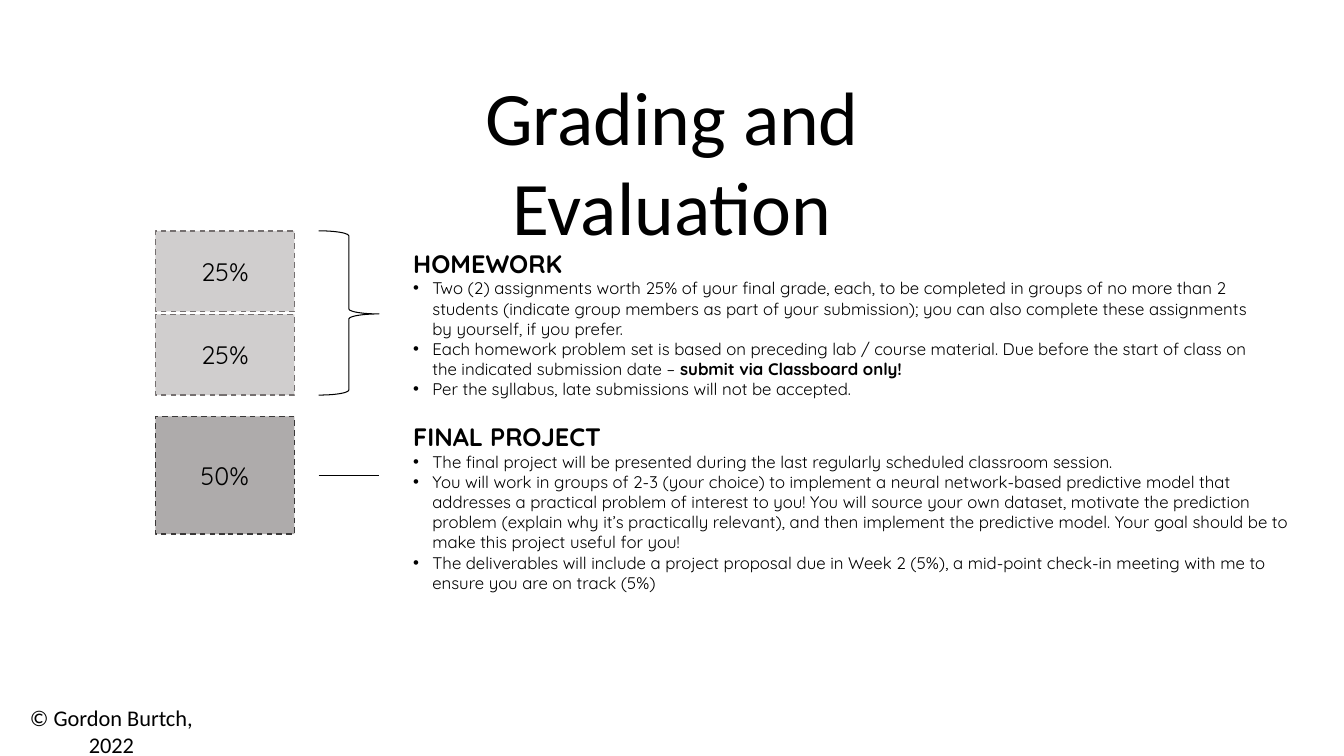
import pptx
import pptx.util
import pptx.dml.color
import pptx.enum.dml
import pptx.enum.shapes
import pptx.enum.text
from lxml import etree

Inches, Pt = pptx.util.Inches, pptx.util.Pt
RGBColor = pptx.dml.color.RGBColor
Align = pptx.enum.text.PP_ALIGN
Shape = pptx.enum.shapes.MSO_SHAPE

BLACK = RGBColor(0x00, 0x00, 0x00)
LIGHT_GRAY = RGBColor(0xD0, 0xCE, 0xCE)
MID_GRAY = RGBColor(0xAE, 0xAB, 0xAB)
EDGE_GRAY = RGBColor(0x75, 0x70, 0x70)
DARK_GRAY = RGBColor(0x3A, 0x38, 0x38)
DRAWING_NS = "http://schemas.openxmlformats.org/drawingml/2006/main"

# Content: headings as (text, left, top, width, height, size)
FOOTER = ("© Gordon Burtch, 2022", 0.18, 6.94, 1.85, 0.37, 16)
TITLE = ("Grading and Evaluation", 3.13, 0.64, 7.07, 1.01, 54)

# Weights: (label, top, height, fill, edge)
WEIGHTS = [
    ("25%", 2.29, 0.8, LIGHT_GRAY, EDGE_GRAY),
    ("25%", 3.12, 0.8, LIGHT_GRAY, EDGE_GRAY),
    ("50%", 4.13, 1.17, MID_GRAY, DARK_GRAY),
]

# Sections: (heading, top, width, height, bullets); a bullet is (plain, bold)
SECTIONS = [
    ("HOMEWORK", 2.41, 8.62, 1.41, [
        ("Two (2) assignments worth 25% of your final grade, each, to be "
         "completed in groups of no more than 2 students (indicate group "
         "members as part of your submission); you can also complete these "
         "assignments by yourself, if you prefer.", ""),
        ("Each homework problem set is based on preceding lab / course "
         "material. Due before the start of class on the indicated "
         "submission date – ", "submit via Classboard only!"),
        ("Per the syllabus, late submissions will not be accepted.", ""),
    ]),
    ("FINAL PROJECT", 4.13, 8.93, 1.62, [
        ("The final project will be presented during the last regularly "
         "scheduled classroom session.", ""),
        ("You will work in groups of 2-3 (your choice) to implement a neural "
         "network-based predictive model that addresses a practical problem "
         "of interest to you! You will source your own dataset, motivate the "
         "prediction problem (explain why it’s practically relevant), and "
         "then implement the predictive model. Your goal should be to make "
         "this project useful for you!", ""),
        ("The deliverables will include a project proposal due in Week 2 "
         "(5%), a mid-point check-in meeting with me to ensure you are on "
         "track (5%)", ""),
    ]),
]

WEIGHT_LEFT, WEIGHT_WIDTH = 1.54, 1.38
LINK_LEFT, LINK_WIDTH = 3.16, 0.6
SECTION_LEFT = 4
BULLET_INDENT = 0.19


def style(font, name, size, bold=False):
    font.name, font.size, font.bold = name, Pt(size), bold
    font.color.rgb = BLACK


def add_box(page, left, top, width, height):
    box = page.shapes.add_textbox(Inches(left), Inches(top),
                                  Inches(width), Inches(height))
    box.text_frame.word_wrap = True
    box.text_frame.auto_size = pptx.enum.text.MSO_AUTO_SIZE.SHAPE_TO_FIT_TEXT
    return box


def add_heading(page, text, left, top, width, height, size):
    para = add_box(page, left, top, width, height).text_frame.paragraphs[0]
    para.text = text
    para.alignment = Align.CENTER
    style(para.runs[0].font, "Calibri", size)


def add_weight(page, label, top, height, fill, edge):
    block = page.shapes.add_shape(
        Shape.RECTANGLE, Inches(WEIGHT_LEFT), Inches(top),
        Inches(WEIGHT_WIDTH), Inches(height))
    block.shadow.inherit = False
    block.fill.solid()
    block.fill.fore_color.rgb = fill
    block.line.color.rgb = edge
    block.line.width = Pt(1)
    block.line.dash_style = pptx.enum.dml.MSO_LINE.DASH
    block.text_frame.text = label
    block.text_frame.vertical_anchor = pptx.enum.text.MSO_ANCHOR.MIDDLE
    para = block.text_frame.paragraphs[0]
    para.alignment = Align.CENTER
    style(para.runs[0].font, "Quicksand", 18)


def add_bullet(frame, plain, bold):
    para = frame.add_paragraph()
    props = para._p.get_or_add_pPr()
    props.set("marL", str(Inches(BULLET_INDENT)))
    props.set("indent", str(-Inches(BULLET_INDENT)))
    font = etree.SubElement(props, f"{{{DRAWING_NS}}}buFont")
    font.set("typeface", "Arial")
    mark = etree.SubElement(props, f"{{{DRAWING_NS}}}buChar")
    mark.set("char", "•")
    for text, is_bold in ((plain, False), (bold, True)):
        if text:
            span = para.add_run()
            span.text = text
            style(span.font, "Quicksand", 12, is_bold)


def add_section(page, heading, top, width, height, bullets):
    frame = add_box(page, SECTION_LEFT, top, width, height).text_frame
    frame.text = heading
    style(frame.paragraphs[0].runs[0].font, "Quicksand", 18, True)
    for plain, bold in bullets:
        add_bullet(frame, plain, bold)


def add_links(page):
    # Brace spans both homework blocks
    first, second, project = WEIGHTS
    brace_height = second[1] + second[2] - first[1]
    brace = page.shapes.add_shape(
        Shape.RIGHT_BRACE, Inches(LINK_LEFT), Inches(first[1]),
        Inches(LINK_WIDTH), Inches(brace_height))
    brace.adjustments[0], brace.adjustments[1] = 0.083, 0.506
    brace.shadow.inherit = False
    brace.fill.background()

    # Line starts level with the middle of the project block
    middle = Inches(project[1] + project[2] / 2)
    line = page.shapes.add_connector(
        pptx.enum.shapes.MSO_CONNECTOR.STRAIGHT, Inches(LINK_LEFT), middle,
        Inches(LINK_LEFT + LINK_WIDTH), middle)
    for link in (brace, line):
        link.line.color.rgb = BLACK
        link.line.width = Pt(0.75)
    etree.SubElement(line._element.spPr, f"{{{DRAWING_NS}}}effectLst")


def main():
    deck = pptx.Presentation()
    deck.slide_width, deck.slide_height = Inches(13.33), Inches(7.5)
    page = deck.slides.add_slide(deck.slide_layouts[6])
    for heading in (FOOTER, TITLE):
        add_heading(page, *heading)
    for weight in WEIGHTS:
        add_weight(page, *weight)
    for section in SECTIONS:
        add_section(page, *section)
    add_links(page)
    deck.save("out.pptx")


if __name__ == "__main__":
    main()
